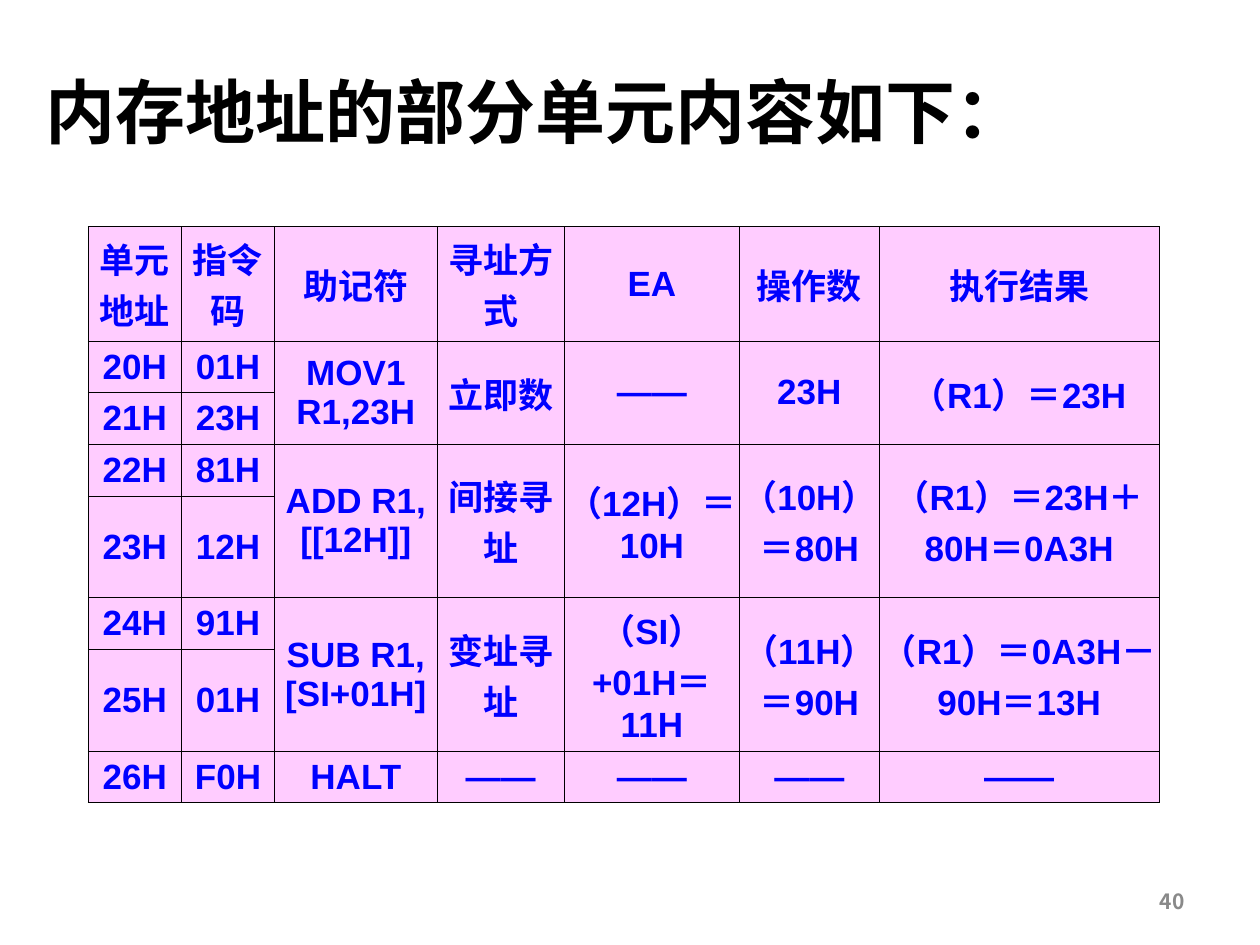
from lxml.etree import SubElement as Sub
from pptx import Presentation
from pptx.dml.color import RGBColor as Rgb
from pptx.enum.text import MSO_ANCHOR as Anchor, MSO_AUTO_SIZE as Auto, PP_ALIGN as Align
from pptx.oxml import parse_xml
from pptx.oxml.ns import nsdecls, qn
from pptx.util import Inches, Pt

BLACK = Rgb(0x00, 0x00, 0x00)
GRAY = Rgb(0x89, 0x89, 0x89)
BLUE = Rgb(0x00, 0x00, 0xFF)
PINK = Rgb(0xFF, 0xCC, 0xFF)

HAN = "Noto Sans CJK SC"
HEAD = {"name": "Calibri", "size": Pt(40), "bold": True}
BODY = {"name": "Arial", "size": Pt(20), "bold": True}
FOOT = {"name": HAN, "size": Pt(12), "bold": True}
PAD = {"margin_left": Inches(0.02), "margin_right": Inches(0.02),
       "margin_top": Inches(0.05), "margin_bottom": Inches(0.05),
       "vertical_anchor": Anchor.MIDDLE}
FRAME = {"word_wrap": True, "auto_size": Auto.NONE, "vertical_anchor": Anchor.MIDDLE}

COLS = [0.74, 0.74, 1.29, 1.01, 1.39, 1.11, 2.22]
ROWS = [0.71, 0.37, 0.37, 0.37, 0.6, 0.37, 0.57, 0.37]
CELLS = [
    ["单元地址", "指令码", "助记符", "寻址方式", "EA", "操作数", "执行结果"],
    ["20H", "01H", "MOV1 R1,23H", "立即数", "――", "23H", "（R1）＝23H"],
    ["21H", "23H"],
    ["22H", "81H", "ADD R1, [[12H]]", "间接寻址", "（12H）＝10H", "（10H）＝80H",
     "（R1）＝23H＋80H＝0A3H"],
    ["23H", "12H"],
    ["24H", "91H", "SUB R1, [SI+01H]", "变址寻址", "（SI）+01H＝11H", "（11H）＝90H",
     "（R1）＝0A3H－90H＝13H"],
    ["25H", "01H"],
    ["26H", "F0H", "HALT", "――", "――", "――", "――"],
]


def apply(obj, vals):
    """Set each attribute of obj from a dict of values."""
    for key, val in vals.items():
        setattr(obj, key, val)


def write(frame, text, font, color, align):
    """Write one formatted paragraph into a text frame."""
    para = frame.paragraphs[0]
    para.alignment = align
    run = para.add_run()
    run.text = text
    apply(run.font, font)
    run.font.color.rgb = color
    Sub(run.font._element, qn("a:ea"), typeface=HAN)


def edge(cell):
    """Draw a thin line on all four sides of a cell."""
    props = cell._tc.get_or_add_tcPr()
    for spot, side in enumerate("LRTB"):
        props.insert(spot, parse_xml(
            f'<a:ln{side} {nsdecls("a")} w="{Pt(0.45)}"><a:solidFill>'
            f'<a:srgbClr val="{BLACK}"/></a:solidFill></a:ln{side}>'))


def add_title(slide, box):
    """Place the title in its box."""
    title = slide.shapes.title
    apply(title, dict(zip(("left", "top", "width", "height"), box)))
    apply(title.text_frame, FRAME)
    write(title.text_frame, "内存地址的部分单元内容如下：", HEAD, BLACK, Align.CENTER)


def add_grid(slide, box):
    """Build the memory table, joining pairs of rows that share a command."""
    grid = slide.shapes.add_table(len(ROWS), len(COLS), *box).table
    apply(grid, {"first_row": False, "horz_banding": False})
    for col, width in zip(grid.columns, COLS):
        col.width = Inches(width)
    for row, height in zip(grid.rows, ROWS):
        row.height = Inches(height)
    for r, texts in enumerate(CELLS):
        for c in range(len(COLS)):
            cell = grid.cell(r, c)
            apply(cell, PAD)
            cell.fill.solid()
            cell.fill.fore_color.rgb = PINK
            edge(cell)
            if c < len(texts):
                write(cell.text_frame, texts[c], BODY, BLUE, Align.CENTER)
            else:
                grid.cell(r - 1, c).merge(cell)


def add_page(slide, box):
    """Place the page number in its box."""
    frame = slide.shapes.add_textbox(*box).text_frame
    apply(frame, FRAME)
    write(frame, "40", FOOT, GRAY, Align.RIGHT)


def main():
    """Build the slide and save it."""
    deck = Presentation()
    apply(deck, {"slide_width": Inches(10), "slide_height": Inches(7.5)})
    slide = deck.slides.add_slide(deck.slide_layouts.get_by_name("Title Only"))
    parts = [(add_page, (7.17, 6.95, 2.33, 0.4)),
             (add_title, (0, 0.52, 8.5, 0.72)),
             (add_grid, (0.7, 1.8, 8.5, 3.91))]
    for place, box in parts:
        place(slide, [Inches(n) for n in box])
    deck.save("out.pptx")


if __name__ == "__main__":
    main()
